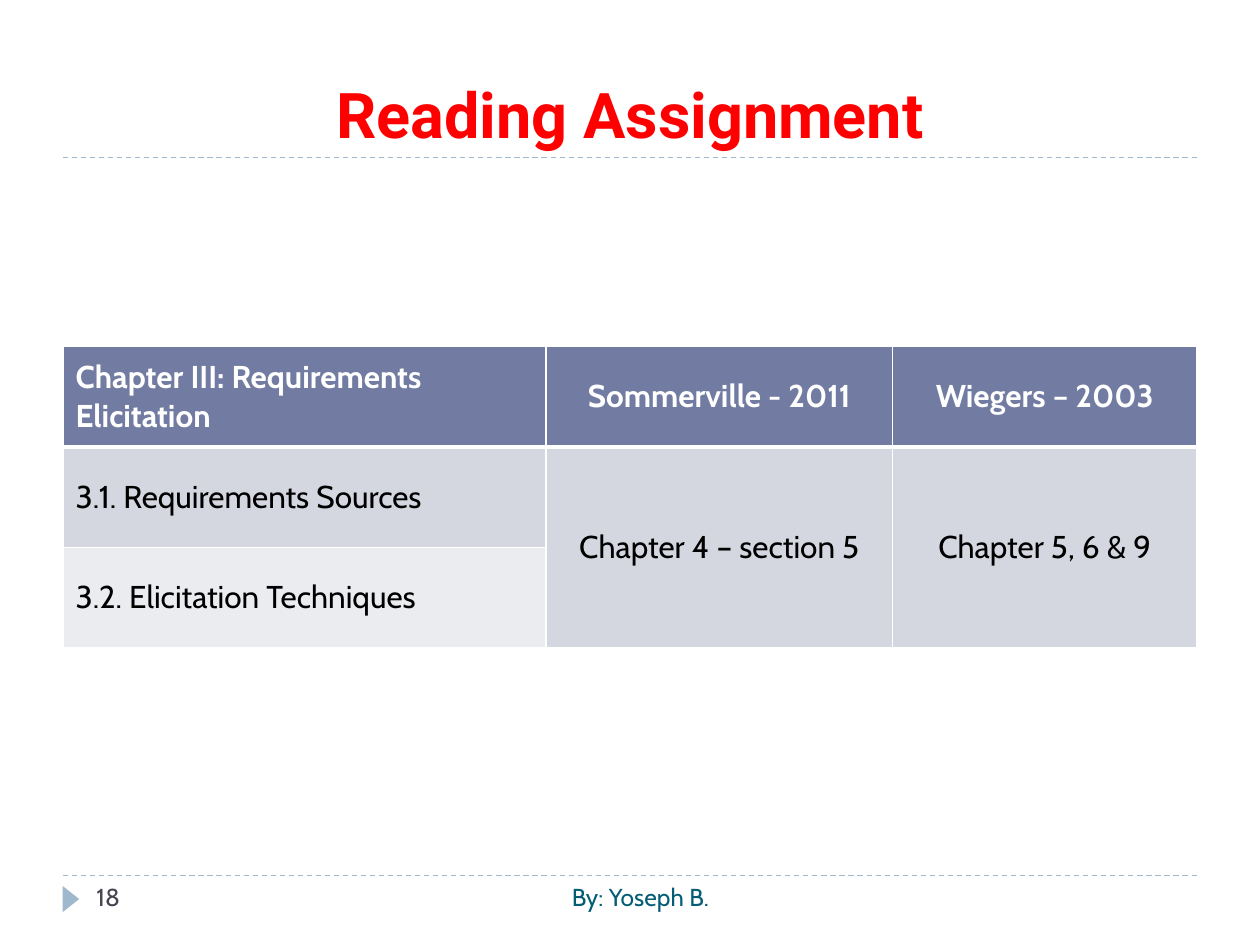
from lxml import etree
from pptx import Presentation
from pptx import util as u
from pptx.dml.color import RGBColor
from pptx.enum import dml, shapes, text
from pptx.oxml import ns

TITLE = "Reading Assignment"
FOOTERS = [
    ("18", 48, 156, "page_number", text.PP_ALIGN.LEFT),
    ("By: Yoseph B.", 228, 276, "author", text.PP_ALIGN.CENTER),
]
ROWS = [
    ["Chapter III: Requirements Elicitation", "Sommerville - 2011", "Wiegers – 2003"],
    ["3.1. Requirements Sources", "Chapter 4 – section 5", "Chapter 5, 6 & 9"],
    ["3.2. Elicitation Techniques", "", ""],
]
COLUMN_WIDTHS = [276, 198, 174]
ROW_HEIGHT = 57.4
MARGIN, CONTENT_WIDTH = 36, 648
TABLE_TOP = 198
TITLE_RULE, FOOTER_RULE = 90, 500.4

THEME = {
    "title": ("Roboto", 36, "FF0000", True),
    "header": ("Cabin", 18, "FFFFFF", True),
    "body": ("Cabin", 18, "000000", False),
    "page_number": ("Cabin", 14, "464653", False),
    "author": ("Cabin", 14, "045D75", False),
    "row_fills": ["727CA3", "D5D7E0", "EBECF0"],
    "border": "FFFFFF",
    "accent": "9FB8CD",
}


def write(frame, content, style, alignment):
    frame.text = content
    paragraph = frame.paragraphs[0]
    paragraph.alignment = alignment
    for run in paragraph.runs:
        name, size, color, bold = THEME[style]
        run.font.name, run.font.size, run.font.bold = name, u.Pt(size), bold
        run.font.color.rgb = RGBColor.from_string(color)


def add_rule(slide, top):
    rule = slide.shapes.add_connector(
        shapes.MSO_CONNECTOR.STRAIGHT,
        u.Pt(MARGIN), u.Pt(top), u.Pt(MARGIN + CONTENT_WIDTH), u.Pt(top))
    rule.line.color.rgb = RGBColor.from_string(THEME["accent"])
    rule.line.width = u.Pt(0.75)
    rule.line.dash_style = dml.MSO_LINE.DASH
    etree.SubElement(rule._element.spPr, ns.qn("a:effectLst"))


def add_marker(slide):
    marker = slide.shapes.add_shape(
        shapes.MSO_SHAPE.ISOSCELES_TRIANGLE, u.Pt(33), u.Pt(509), u.Pt(15), u.Pt(9.5))
    marker.rotation = 90
    marker.shadow.inherit = False
    marker.fill.solid()
    marker.fill.fore_color.rgb = RGBColor.from_string(THEME["accent"])
    marker.line.fill.background()


def set_borders(cell, bottom_width):
    properties = cell._tc.get_or_add_tcPr()
    for side, width in (("L", 1), ("R", 1), ("T", 1), ("B", bottom_width)):
        line = etree.SubElement(properties, ns.qn("a:ln" + side), w=str(u.Pt(width)))
        fill = etree.SubElement(line, ns.qn("a:solidFill"))
        etree.SubElement(fill, ns.qn("a:srgbClr"), val=THEME["border"])


def add_reading_table(slide):
    table = slide.shapes.add_table(
        len(ROWS), len(COLUMN_WIDTHS), u.Pt(MARGIN), u.Pt(TABLE_TOP),
        u.Pt(CONTENT_WIDTH), u.Pt(ROW_HEIGHT * len(ROWS))).table
    for column, width in zip(table.columns, COLUMN_WIDTHS):
        column.width = u.Pt(width)
    for row_index, row in enumerate(ROWS):
        table.rows[row_index].height = u.Pt(ROW_HEIGHT)
        for column_index, content in enumerate(row):
            cell = table.cell(row_index, column_index)
            set_borders(cell, 3 if row_index == 0 else 1)
            cell.fill.solid()
            fill = THEME["row_fills"][row_index]
            cell.fill.fore_color.rgb = RGBColor.from_string(fill)
            cell.vertical_anchor = text.MSO_ANCHOR.MIDDLE
            alignment = text.PP_ALIGN.CENTER if column_index else text.PP_ALIGN.LEFT
            write(cell.text_frame, content, "body" if row_index else "header", alignment)
    for column_index in (1, 2):
        table.cell(1, column_index).merge(table.cell(2, column_index))


def main():
    presentation = Presentation()
    presentation.slide_width, presentation.slide_height = u.Pt(720), u.Pt(540)
    slide = presentation.slides.add_slide(presentation.slide_layouts[5])

    for top in (FOOTER_RULE, TITLE_RULE):
        add_rule(slide, top)
    add_marker(slide)

    title = slide.shapes.title
    title.left, title.top = u.Pt(MARGIN), u.Pt(12)
    title.width, title.height = u.Pt(CONTENT_WIDTH), u.Pt(78)
    title.text_frame.vertical_anchor = text.MSO_ANCHOR.BOTTOM
    title.text_frame.auto_size = text.MSO_AUTO_SIZE.NONE
    write(title.text_frame, TITLE, "title", text.PP_ALIGN.CENTER)

    add_reading_table(slide)
    for content, left, width, style, alignment in FOOTERS:
        footer = slide.shapes.add_textbox(
            u.Pt(left), u.Pt(FOOTER_RULE), u.Pt(width), u.Pt(28.8))
        footer.text_frame.word_wrap = True
        write(footer.text_frame, content, style, alignment)

    presentation.save("out.pptx")


if __name__ == "__main__":
    main()
